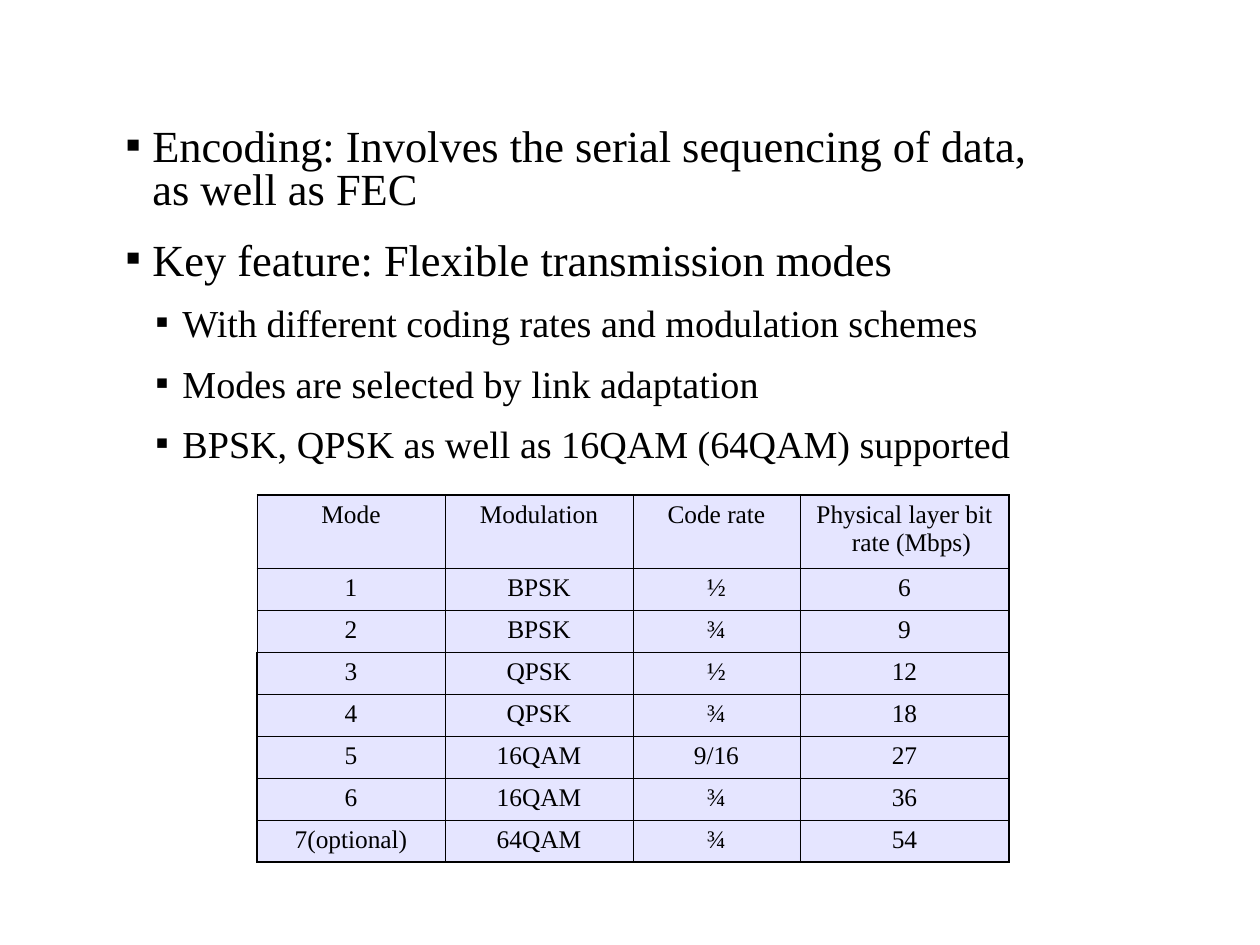
from pptx import Presentation
from pptx import util as u
from pptx.dml import color
from pptx.enum import text
from pptx.oxml import parse_xml
from pptx.oxml.ns import nsdecls

SCALE = 8000
FONT = "Times New Roman"
INK = "000000"
FILL = "CCCCFF"
THIN, THICK = 0.45, 1.08
POINTS = [
    (0, "Encoding: Involves the serial sequencing of data, as well as FEC"),
    (0, "Key feature: Flexible transmission modes"),
    (1, "With different coding rates and modulation schemes"),
    (1, "Modes are selected by link adaptation"),
    (1, "BPSK, QPSK as well as 16QAM (64QAM) supported"),
]
LEVELS = [(28, 17.5, 27), (24, 15, 57)]
WIDTHS = [188, 188, 167, 209]
MODES = [
    ("Mode", "Modulation", "Code rate", "Physical layer bit rate (Mbps)"),
    ("1", "BPSK", "½", "6"),
    ("2", "BPSK", "¾", "9"),
    ("3", "QPSK", "½", "12"),
    ("4", "QPSK", "¾", "18"),
    ("5", "16QAM", "9/16", "27"),
    ("6", "16QAM", "¾", "36"),
    ("7(optional)", "64QAM", "¾", "54"),
]


def px(n):
    """Turn px into EMU."""
    return u.Emu(n * SCALE)


def rgb(code):
    """Turn a hex string into a colour."""
    return color.RGBColor.from_string(code)


def xml(tag, body):
    """Make a drawing element from its tag and inner part."""
    name = tag.split()[0]
    return parse_xml(f"<a:{tag} {nsdecls('a')}>{body}</a:{name}>")


def add_run(para, words, size):
    """Add one run of text in the slide font."""
    run = para.add_run()
    run.text = words
    run.font.name = FONT
    run.font.size = u.Pt(size)
    run.font.color.rgb = rgb(INK)


def indent(para, left, hang):
    """Set a hanging indent and return the paragraph properties."""
    prop = para._p.get_or_add_pPr()
    prop.set("marL", str(px(left)))
    prop.set("indent", str(px(-hang)))
    return prop


def add_list(body, points):
    """Fill the body placeholder with bullets on two levels."""
    body.left, body.top = px(114), px(123)
    body.width, body.height = px(961), px(418)
    frame = body.text_frame
    frame.word_wrap = True
    frame.auto_size = text.MSO_AUTO_SIZE.NONE
    frame.vertical_anchor = text.MSO_ANCHOR.TOP
    for i, (level, words) in enumerate(points):
        para = frame.add_paragraph() if i else frame.paragraphs[0]
        size, gap, left = LEVELS[level]
        para.level = level
        prop = indent(para, left, 27)
        prop.append(xml("buClr", f'<a:srgbClr val="{INK}"/>'))
        prop.append(xml(f'buFont typeface="{FONT}"', ""))
        prop.append(xml('buChar char="▪"', ""))
        para.line_spacing = 0.8
        para.space_before = u.Pt(gap if i else 0)
        add_run(para, words, size)


def style(cell, sides):
    """Draw the cell borders and its half-clear fill."""
    prop = cell._tc.get_or_add_tcPr()
    for side, width in sides.items():
        line = f'<a:solidFill><a:srgbClr val="{INK}"/></a:solidFill>'
        prop.append(xml(f'ln{side} w="{u.Pt(width)}"', line))
    tint = f'<a:srgbClr val="{FILL}"><a:alpha val="50000"/></a:srgbClr>'
    prop.append(xml("solidFill", tint))


def add_grid(slide, rows):
    """Add the table of transmission modes."""
    last, end = len(rows) - 1, len(WIDTHS) - 1
    high = [73] + [42] * last
    grid = slide.shapes.add_table(len(rows), len(WIDTHS), px(257), px(495),
                                  px(sum(WIDTHS)), px(sum(high))).table
    grid.first_row = grid.horz_banding = False
    for col, width in zip(grid.columns, WIDTHS):
        col.width = px(width)
    for r, row in enumerate(rows):
        grid.rows[r].height = px(high[r])
        for c, words in enumerate(row):
            cell = grid.cell(r, c)
            para = cell.text_frame.paragraphs[0]
            para.alignment = text.PP_ALIGN.CENTER
            indent(para, 14, 14)
            add_run(para, words, 16)
            heavy = {"L": c == 0 and r > 2, "R": c == end,
                     "T": r == 0, "B": r == last}
            style(cell, {k: THICK if on else THIN for k, on in heavy.items()})


def main():
    """Build the slide and save it."""
    deck = Presentation()
    deck.slide_width, deck.slide_height = px(1260), px(945)
    slide = deck.slides.add_slide(deck.slide_layouts[1])
    title = slide.shapes.title._element
    title.getparent().remove(title)
    add_list(slide.placeholders[1], POINTS)
    add_grid(slide, MODES)
    deck.save("out.pptx")


if __name__ == "__main__":
    main()
